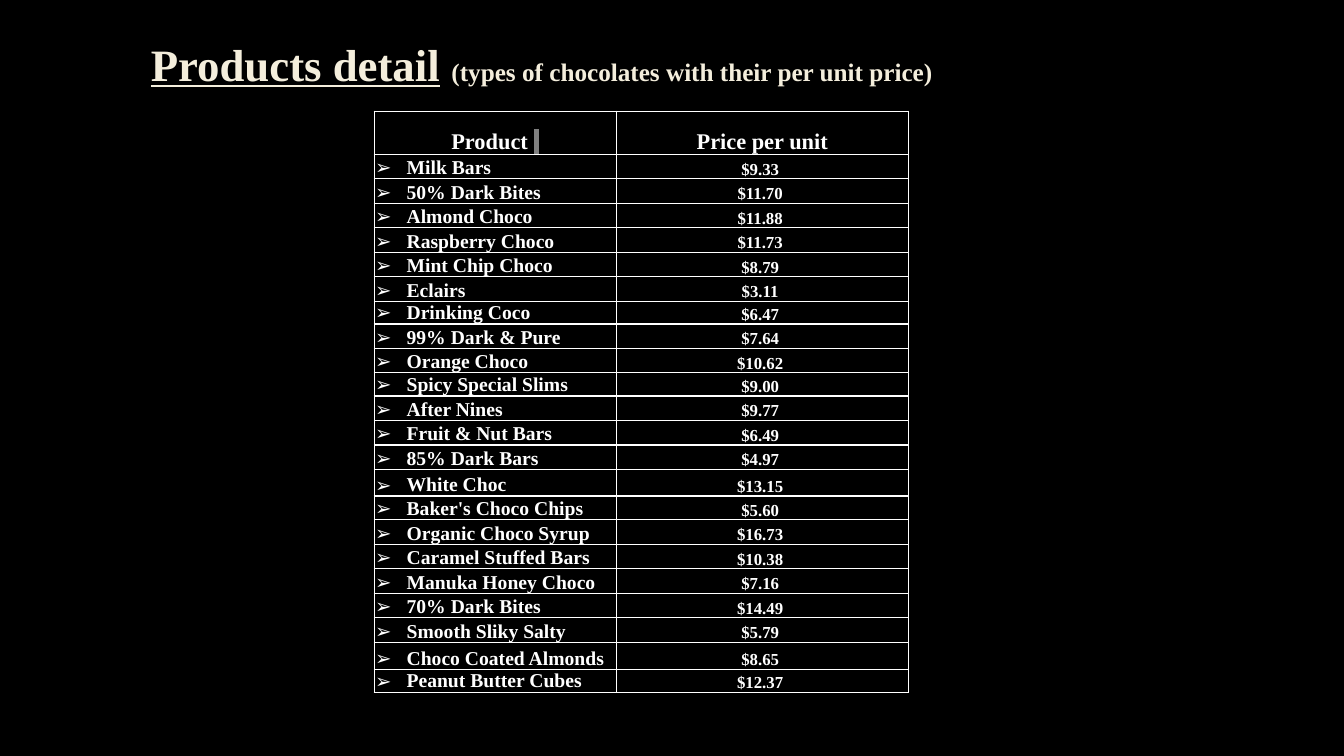
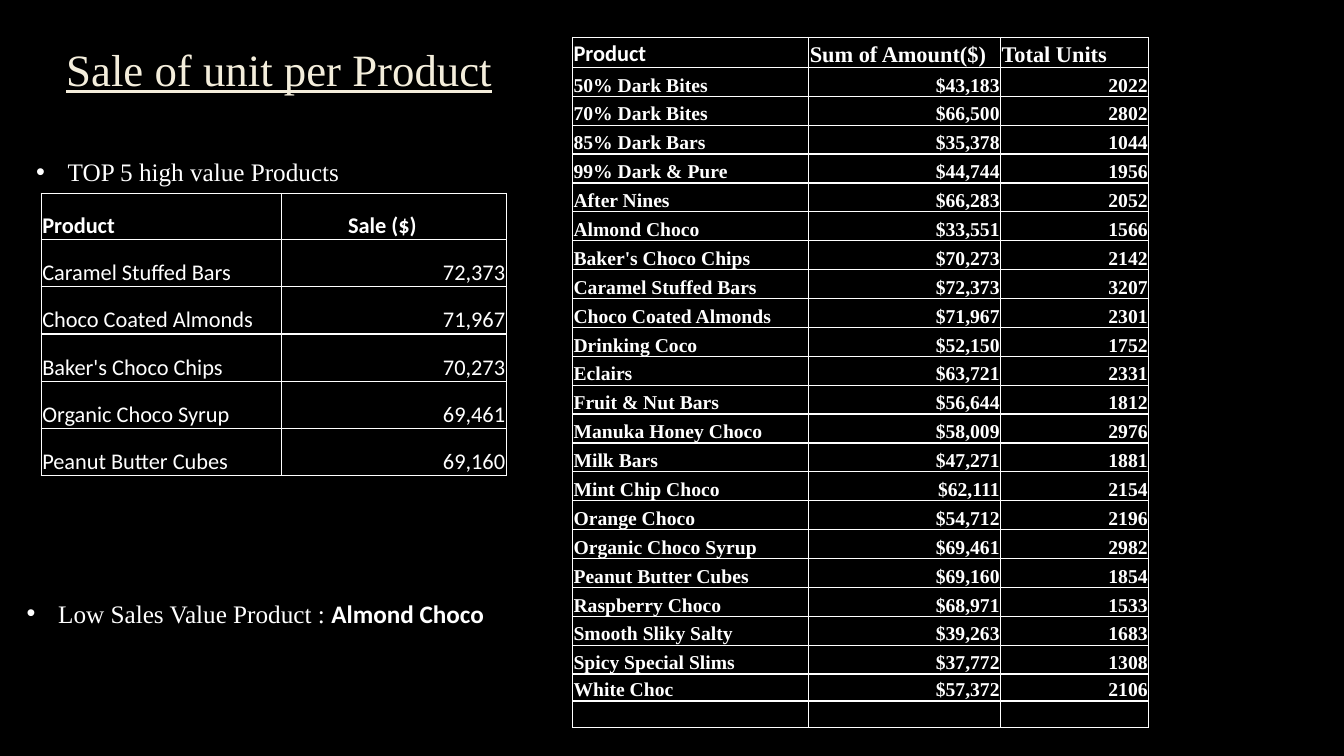
import lxml.etree
import pptx
import pptx.util
import pptx.dml.color
import pptx.enum.text
import pptx.oxml.ns

Pt = pptx.util.Pt
qn = pptx.oxml.ns.qn
Align = pptx.enum.text.PP_ALIGN
Anchor = pptx.enum.text.MSO_ANCHOR
Fit = pptx.enum.text.MSO_AUTO_SIZE

SERIF, SANS = "Times New Roman", "Calibri"
BLACK, WHITE, CREAM, GREY = "000000", "FFFFFF", "F4EEDC", "808080"

GOODS = {
    "Milk Bars": (9.33, 47271, 1881),
    "50% Dark Bites": (11.70, 43183, 2022),
    "Almond Choco": (11.88, 33551, 1566),
    "Raspberry Choco": (11.73, 68971, 1533),
    "Mint Chip Choco": (8.79, 62111, 2154),
    "Eclairs": (3.11, 63721, 2331),
    "Drinking Coco": (6.47, 52150, 1752),
    "99% Dark & Pure": (7.64, 44744, 1956),
    "Orange Choco": (10.62, 54712, 2196),
    "Spicy Special Slims": (9.00, 37772, 1308),
    "After Nines": (9.77, 66283, 2052),
    "Fruit & Nut Bars": (6.49, 56644, 1812),
    "85% Dark Bars": (4.97, 35378, 1044),
    "White Choc": (13.15, 57372, 2106),
    "Baker's Choco Chips": (5.60, 70273, 2142),
    "Organic Choco Syrup": (16.73, 69461, 2982),
    "Caramel Stuffed Bars": (10.38, 72373, 3207),
    "Manuka Honey Choco": (7.16, 58009, 2976),
    "70% Dark Bites": (14.49, 66500, 2802),
    "Smooth Sliky Salty": (5.79, 39263, 1683),
    "Choco Coated Almonds": (8.65, 71967, 2301),
    "Peanut Butter Cubes": (12.37, 69160, 1854),
}


def tint(code):
    """Turn a hex string into a colour."""
    return pptx.dml.color.RGBColor.from_string(code)


class Deck:
    """Hold the style and the current slide."""

    def __init__(self):
        """Start a wide black deck."""
        self.show = pptx.Presentation()
        self.show.slide_width, self.show.slide_height = Pt(960), Pt(540)
        back = self.show.slide_master.background.fill
        back.solid()
        back.fore_color.rgb = tint(BLACK)

    def page(self, left, top, width, runs):
        """Add a slide with its title."""
        self.slide = self.show.slides.add_slide(self.show.slide_layouts[5])
        head = self.slide.shapes.title
        head.left, head.top, head.width, head.height = Pt(left), Pt(top), Pt(width), Pt(46)
        frame = head.text_frame
        frame.auto_size = Fit.NONE
        frame.word_wrap = True
        frame.vertical_anchor = Anchor.BOTTOM
        para = frame.paragraphs[0]
        para.alignment, para.line_spacing = Align.CENTER, 0.9
        self.ink(para, runs, color=CREAM)

    def ink(self, para, runs, color=WHITE):
        """Fill a paragraph with styled runs."""
        for text, size, face, bold, *under in runs:
            run = para.add_run()
            run.text = text
            font = run.font
            font.size, font.name, font.bold = Pt(size), face, bold
            font.color.rgb = tint(color)
            if under:
                font.underline = True

    def bullet(self, para, mark):
        """Give a paragraph a hanging bullet."""
        prop = para._p.get_or_add_pPr()
        prop.set("marL", str(Pt(22.5)))
        prop.set("indent", str(Pt(-22.5)))
        lxml.etree.SubElement(prop, qn("a:buFont")).set("typeface", "Arial")
        lxml.etree.SubElement(prop, qn("a:buChar")).set("char", mark)

    def note(self, left, top, width, runs):
        """Add a bulleted line of text."""
        box = self.slide.shapes.add_textbox(Pt(left), Pt(top), Pt(width), Pt(29))
        frame = box.text_frame
        frame.word_wrap = True
        frame.auto_size = Fit.SHAPE_TO_FIT_TEXT
        para = frame.paragraphs[0]
        self.bullet(para, "•")
        self.ink(para, runs)

    def mark(self, run):
        """Shade the back of a run in grey."""
        light = lxml.etree.Element(qn("a:highlight"))
        lxml.etree.SubElement(light, qn("a:srgbClr")).set("val", GREY)
        run._r.rPr.find(qn("a:solidFill")).addnext(light)

    def frame(self, cell):
        """Draw the borders of a cell and clear its fill."""
        prop = cell._tc.get_or_add_tcPr()
        for side in "LRTB":
            line = lxml.etree.SubElement(prop, qn(f"a:ln{side}"))
            line.set("w", str(Pt(1)))
            fill = lxml.etree.SubElement(line, qn("a:solidFill"))
            lxml.etree.SubElement(fill, qn("a:srgbClr")).set("val", WHITE)
        cell.fill.background()

    def table(self, left, top, cols, rows, data, style):
        """Add a ruled table; style gives size, face, bold and align of a cell."""
        shape = self.slide.shapes.add_table(
            len(rows), len(cols), Pt(left), Pt(top), Pt(sum(cols)), Pt(sum(rows)))
        grid = shape.table
        grid.first_row = grid.horz_banding = False
        for col, width in zip(grid.columns, cols):
            col.width = Pt(width)
        for row, high in zip(grid.rows, rows):
            row.height = Pt(high)
        for r, line in enumerate(data):
            for c, text in enumerate(line):
                cell = grid.cell(r, c)
                self.frame(cell)
                cell.margin_left = cell.margin_right = cell.margin_top = Pt(0.7)
                cell.margin_bottom = Pt(0)
                cell.vertical_anchor = Anchor.BOTTOM
                para = cell.text_frame.paragraphs[0]
                size, face, bold, align = style(r, c)
                para.alignment = align
                if text:
                    self.ink(para, [(text, size, face, bold)])
                else:
                    end = lxml.etree.SubElement(para._p, qn("a:endParaRPr"))
                    end.set("sz", str(size * 100))
        return grid


def price_style(r, c):
    """Style the price list."""
    size = 16 if r == 0 else (14, 12)[c]
    return size, SERIF, True, Align.LEFT if r and c == 0 else Align.CENTER


def sales_style(r, c):
    """Style the sales list."""
    face = SANS if r == c == 0 else SERIF
    return 14 if r else 16, face, True, Align.RIGHT if r and c else Align.LEFT


def top_style(r, c):
    """Style the list of best sellers."""
    return 16, SANS, r == 0, Align.RIGHT if r and c else Align.LEFT


def prices(deck):
    """Build the price slide."""
    deck.page(57.5, 22.5, 659, [
        ("Products detail", 32, SERIF, True, True),
        (" ", 32, SERIF, True),
        ("(types of chocolates with their per unit price)", 18, SERIF, True)])
    odd = {0: 30.75, 7: 16, 10: 16.5, 14: 19, 15: 17, 21: 19.5, 22: 15.5}
    rows = [odd.get(n, 17.5) for n in range(len(GOODS) + 1)]
    data = [("Product ", "Price per unit")]
    data += [(name, f"${item[0]:.2f} ") for name, item in GOODS.items()]
    grid = deck.table(267.25, 79.5, (173, 208.5), rows, data, price_style)
    for c in range(2):
        grid.cell(0, c).text_frame.paragraphs[0].line_spacing = 1.5
    for r in range(1, len(rows)):
        deck.bullet(grid.cell(r, 0).text_frame.paragraphs[0], "➢")
    head = grid.cell(0, 0).text_frame.paragraphs[0]
    deck.ink(head, [(" ", 16, SERIF, True)])
    deck.mark(head.runs[-1])


def sales(deck):
    """Build the sales slide."""
    deck.page(12, 26.5, 375, [("Sale of unit per Product", 32, SERIF, False, True)])
    data = [("Product", "Sum of Amount($)", "Total Units")]
    data += [(name, f"${GOODS[name][1]:,}", str(GOODS[name][2])) for name in sorted(GOODS)]
    data.append(("", "", ""))
    rows = [21.4] + [20.65] * 21 + [19.3, 19]
    deck.table(409, 26.75, (168.75, 137, 105.75), rows, data, sales_style)

    rank = sorted(GOODS, key=lambda name: -GOODS[name][1])
    best = [("Product", "Sale ($)")]
    best += [(name, f"{GOODS[name][1]:,}") for name in rank[:5]]
    grid = deck.table(29.5, 138.25, (171.5, 160.5), [33] + [33.7] * 5, best, top_style)
    head = grid.cell(0, 1).text_frame.paragraphs[0]
    head._p.get_or_add_pPr().set("marL", str(Pt(47)))

    deck.note(18.75, 108, 253, [("TOP 5 high value Products", 18, SERIF, False)])
    deck.note(12, 423.5, 350, [
        ("Low Sales Value Product : ", 18, SERIF, False),
        (rank[-1], 18, SANS, True)])


def main():
    """Build and save the deck."""
    deck = Deck()
    prices(deck)
    sales(deck)
    deck.show.save("out.pptx")


if __name__ == "__main__":
    main()
